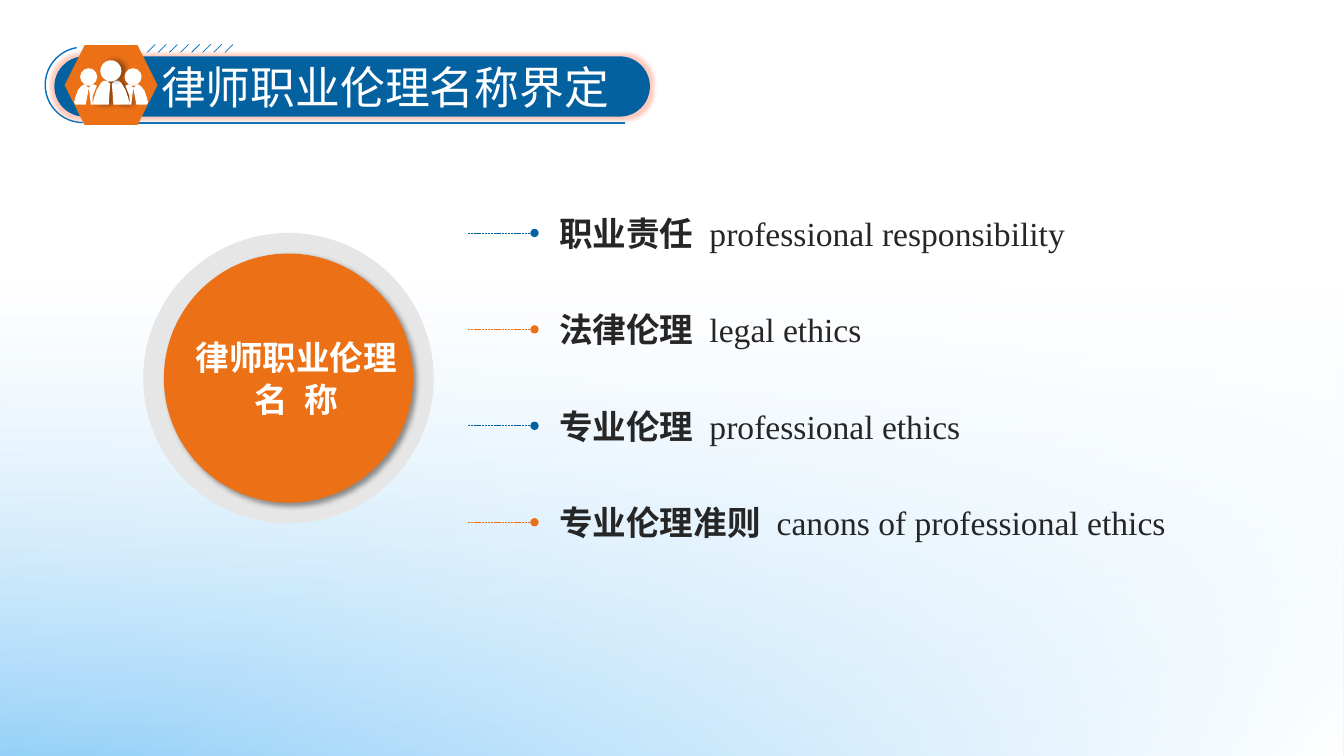
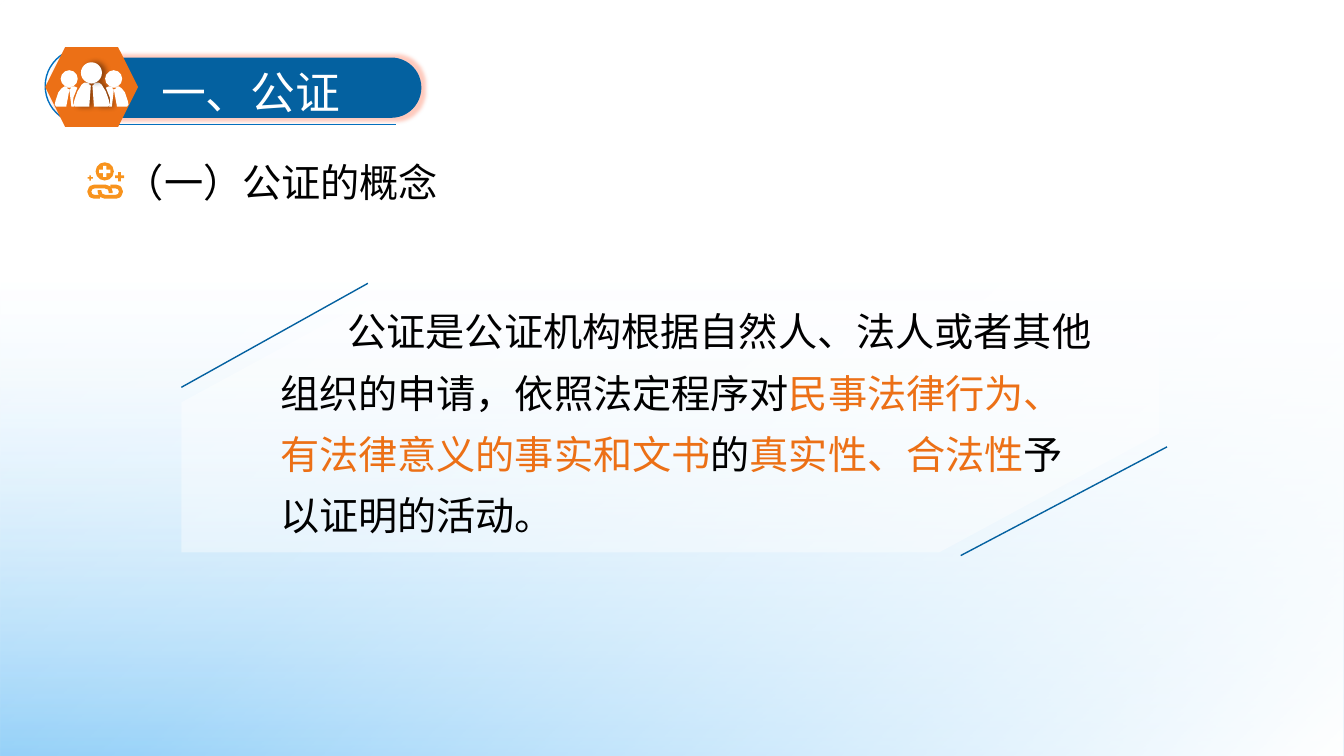
from pptx import Presentation
from pptx.dml.color import RGBColor
from pptx.enum.dml import MSO_LINE
from pptx.enum.shapes import MSO_CONNECTOR, MSO_SHAPE
from pptx.enum.text import MSO_ANCHOR, MSO_AUTO_SIZE, PP_ALIGN
from pptx.oxml import parse_xml
from pptx.oxml.ns import nsdecls, qn
from pptx.util import Cm, Pt
from lxml import etree

RECT, OVAL, ARC = MSO_SHAPE.RECTANGLE, MSO_SHAPE.OVAL, MSO_SHAPE.ARC
ROUND, HEX, PLUS = MSO_SHAPE.ROUNDED_RECTANGLE, MSO_SHAPE.HEXAGON, MSO_SHAPE.CROSS
STRAIGHT, DASH = MSO_CONNECTOR.STRAIGHT, MSO_LINE.SQUARE_DOT
LEFT, CENTER = PP_ALIGN.LEFT, PP_ALIGN.CENTER
TOP, FIXED = MSO_ANCHOR.TOP, MSO_AUTO_SIZE.NONE

WIDE, HIGH = 33.87, 19.05
WHITE, BLACK, DARK, GRAY = "FFFFFF", "000000", "262626", "E6E6E6"
BLUE, SKY, ORANGE, AMBER = "0461A0", "0070C0", "EC7016", "F8931D"
SANS, SERIF, PLAIN = "Noto Sans CJK SC", "Times New Roman", "Arial"

MID_HALF = [(-18, 89), (-25, 94), (-36, 112), (-43, 132), (-46, 145),
            (-41, 150), (-6, 150), (-2, 97), (-9, 91)]
SIDE_BODY = [(-69, 99), (-76, 104), (-84, 114), (-91, 135), (-93, 145),
             (-89, 150), (-64, 150), (-56, 107), (-64, 102), (-51, 102),
             (-56, 107), (-51, 150), (-43, 150), (-47, 142), (-46, 127),
             (-36, 102), (-43, 99)]
CHAIN = [(14, 4), (14, 0), (11, -9), (0, -13), (-27, -13), (-36, -10),
         (-40, 0), (-36, 10), (-27, 13), (-13, 13)]


def tint(fill, color):
    fill.solid()
    fill.fore_color.rgb = RGBColor.from_string(color)


def paint(shape, fill=None, line=None, width=1, alpha=None):
    shape.shadow.inherit = False
    if fill:
        tint(shape.fill, fill)
    else:
        shape.fill.background()
    if alpha is not None:
        clr = shape._element.spPr.find(".//" + qn("a:srgbClr"))
        etree.SubElement(clr, qn("a:alpha"), val=str(alpha * 1000))
    if line:
        tint(shape.line.fill, line)
        shape.line.width = Pt(width)
    else:
        shape.line.fill.background()
    return shape


def block(slide, kind, x, y, w, h, adj=(), **look):
    shape = slide.shapes.add_shape(kind, Cm(x), Cm(y), Cm(w), Cm(h))
    for i, value in enumerate(adj):
        shape.adjustments[i] = value
    return paint(shape, **look)


def path(slide, x, y, points, close=True, **look):
    pen = slide.shapes.build_freeform(*points[0], scale=Cm(0.01))
    pen.add_line_segments(points[1:], close=close)
    return paint(pen.convert_to_shape(Cm(x), Cm(y)), **look)


def stroke(slide, x1, y1, x2, y2, color, width=1, dash=None, tail=None):
    line = slide.shapes.add_connector(STRAIGHT, Cm(x1), Cm(y1), Cm(x2), Cm(y2))
    tint(line.line.fill, color)
    line.line.width = Pt(width)
    if dash:
        line.line.dash_style = dash
    props = line._element.spPr
    if tail:
        etree.SubElement(props.find(qn("a:ln")), qn("a:tailEnd"), type=tail)
    etree.SubElement(props, qn("a:effectLst"))


def effect(shape, tag, color, alpha, **attrs):
    node = etree.SubElement(shape._element.spPr.find(qn("a:effectLst")),
                            qn("a:" + tag), {k: str(v) for k, v in attrs.items()})
    clr = etree.SubElement(node, qn("a:srgbClr"), val=color)
    etree.SubElement(clr, qn("a:alpha"), val=str(alpha * 1000))


def shade(shape, angle):
    effect(shape, "outerShdw", BLACK, 40, blurRad=Pt(4), dist=Pt(3),
           dir=angle * 60000, algn="ctr", rotWithShape=0)


def write(shape, paras, size, color, font=SERIF, bold=False, align=LEFT,
          inset=(0.25, 0.13, 0.25, 0.13), first=0, gap=0, lead=None):
    frame = shape.text_frame
    frame.word_wrap, frame.auto_size = True, FIXED
    frame.vertical_anchor = TOP
    (frame.margin_left, frame.margin_top,
     frame.margin_right, frame.margin_bottom) = map(Cm, inset)
    for i, runs in enumerate(paras):
        para = frame.add_paragraph() if i else frame.paragraphs[0]
        para.alignment = align
        para.space_before = Pt(gap if i else 0)
        if lead:
            para.line_spacing = lead
        if first:
            para._p.get_or_add_pPr().set("indent", str(Cm(first)))
        for text, own in runs:
            run = para.add_run()
            run.text = text
            run.font.size, run.font.name = Pt(size), font
            run.font.bold = own.get("bold", bold)
            tint(run.font.fill, own.get("color", color))
            props = run._r.get_or_add_rPr()
            if "space" in own:
                props.set("spc", str(own["space"] * 100))
            latin = props.find(qn("a:latin"))
            latin.addnext(etree.Element(qn("a:ea"), typeface=SANS))


def label(slide, x, y, w, h, paras, **look):
    write(slide.shapes.add_textbox(Cm(x), Cm(y), Cm(w), Cm(h)), paras, **look)


def fade(shape, stops, angle):
    marks = "".join(
        f'<a:gs pos="{pos * 1000}"><a:srgbClr val="{color}">'
        f'<a:alpha val="{alpha * 1000}"/></a:srgbClr></a:gs>'
        for pos, color, alpha in stops)
    grad = parse_xml(f'<a:gradFill {nsdecls("a")} rotWithShape="1"><a:gsLst>{marks}'
                     f'</a:gsLst><a:lin ang="{angle * 60000}" scaled="0"/></a:gradFill>')
    props = shape._element.spPr
    props.replace(props.find(qn("a:solidFill")), grad)


def backdrop(slide):
    washes = [([(0, WHITE, 0), (37, WHITE, 25), (100, "67BDF6", 88)], 90),
              ([(0, WHITE, 0), (42, WHITE, 25), (100, WHITE, 100)], 45)]
    tree = slide.slide_layout.shapes._spTree
    for i, (stops, angle) in enumerate(washes):
        wash = block(slide, RECT, 0, 0, WIDE, HIGH, fill=WHITE)
        fade(wash, stops, angle)
        tree.insert(2 + i, wash._element)


def badge(slide, x, y):
    block(slide, HEX, x, y, 2.34, 2.01, fill=ORANGE)
    mid = x + 1.17
    body = MID_HALF + [(-a, b) for a, b in reversed(MID_HALF)]
    shade(path(slide, mid, y, body, fill=WHITE), 0)
    shade(block(slide, OVAL, mid - 0.27, y + 0.38, 0.53, 0.53, fill=WHITE), 0)
    for side in (1, -1):
        path(slide, mid, y, [(a * side, b) for a, b in SIDE_BODY], fill=WHITE)
        block(slide, OVAL, mid - 0.56 * side - 0.22, y + 0.58, 0.43, 0.43, fill=WHITE)


def header(slide, text, x, y, w, drop, icon, ticks=0):
    block(slide, ARC, x - 0.23, y - 0.23, 1.9, 1.9, (53.91, 156.32), line=SKY)
    stroke(slide, x + 0.74, y + 1.68, x + w - 0.63, y + 1.68, SKY)
    bar = block(slide, ROUND, x, y, w, 1.52, (0.5,), fill=BLUE)
    effect(bar, "glow", "FF7C5C", 40, rad=Pt(5))
    for i in range(ticks):
        left = x + 2.34 + 0.28 * i
        stroke(slide, left + 0.2, y - 0.3, left, y - 0.1, SKY, 0.5)
    title = slide.shapes.title
    title.left, title.top = Cm(x + 2.44), Cm(y + drop)
    title.width, title.height = Cm(w - 3), Cm(1.63)
    write(title, [[(text, {})]], size=32, color=WHITE)
    slide.shapes._spTree.append(title._element)
    badge(slide, *icon)


def disc(slide, x, y, size):
    block(slide, OVAL, x, y, size, size, fill=GRAY)
    core = size - 1.04
    shade(block(slide, OVAL, x + 0.52, y + 0.52, core, core, fill=ORANGE), 45)
    label(slide, x + 0.34, y + 2.59, 7.04, 2.13,
          [[("律师职业伦理", {})], [("名", {}), (" ", {"space": 6}), ("称", {})]],
          size=24, color=WHITE, font=SANS, bold=True, align=CENTER,
          inset=(0, 0.03, 0, 0), gap=1)


def terms(slide, x, y, pitch, pairs):
    for i, (name, gloss) in enumerate(pairs):
        row = y + pitch * i
        stroke(slide, x, row, x + 1.68, row, (BLUE, ORANGE)[i % 2], 0.5, DASH, "oval")
        label(slide, x + 2.05, row - 0.64, 17.25, 1.27,
              [[(name, {}), (" ", {"space": 6}), (gloss, {"bold": False})]],
              size=24, color=DARK, bold=True)


def topic(slide, x, y, text):
    for turn in (1, -1):
        path(slide, x + 0.44, y + 0.74, [(a * turn, b * turn) for a, b in CHAIN],
             close=False, line=AMBER, width=2.75)
    block(slide, OVAL, x + 0.2, y, 0.46, 0.46, fill=AMBER)
    for dx, dy, size, color in [(0.29, 0.09, 0.28, WHITE), (0.69, 0.25, 0.23, AMBER),
                                (0, 0.33, 0.13, AMBER)]:
        block(slide, PLUS, x + dx, y + dy, size, size, (0.35,), fill=color)
    label(slide, x + 0.69, y - 0.23, 13.03, 1.45, [[(text, {})]],
          size=28, color=BLACK, font=PLAIN)


def panel(slide, x, y, runs):
    outline = [(2464, 0), (561, 0), (0, 305), (0, 683), (1910, 683), (2464, 384)]
    path(slide, x, y, outline, fill=WHITE, alpha=40)
    stroke(slide, x + 4.7, y + 0.05, x, y + 2.67, BLUE)
    stroke(slide, x + 24.84, y + 4.17, x + 19.64, y + 6.91, BLUE)
    label(slide, x + 2.46, y + 0.28, 20.7, 6.25, [runs], size=28, color=BLACK,
          font=SANS, inset=(0.03, 0.03, 0, 0), first=1.7, lead=1.3)


def names(slide):
    header(slide, "律师职业伦理名称界定", 1.37, 1.42, 15.01, -0.05, (1.63, 1.14), 8)
    disc(slide, 3.61, 5.87, 7.32)
    terms(slide, 11.79, 5.87, 2.43, [
        ("职业责任", "professional responsibility"),
        ("法律伦理", "legal ethics"),
        ("专业伦理", "professional ethics"),
        ("专业伦理准则", "canons of professional ethics")])


def notary(slide):
    header(slide, "一、公证", 1.37, 1.45, 9.25, 0.05, (1.14, 1.19))
    mark = {"color": ORANGE}
    panel(slide, 4.57, 7.09, [
        ("公证是公证机构根据自然人、法人或者其他组织的申请，依照法定程序对", {}),
        ("民事法律行为、有法律意义的事实和文书", mark), ("的", {}),
        ("真实性、合法性", mark), ("予以证明的活动。", {})])
    topic(slide, 2.21, 4.09, "（一）公证的概念")


def main():
    deck = Presentation()
    deck.slide_width, deck.slide_height = Cm(WIDE), Cm(HIGH)
    layout = deck.slide_layouts[5]
    first, second = [deck.slides.add_slide(layout) for _ in range(2)]
    backdrop(first)
    names(first)
    notary(second)
    deck.save("out.pptx")


if __name__ == "__main__":
    main()
